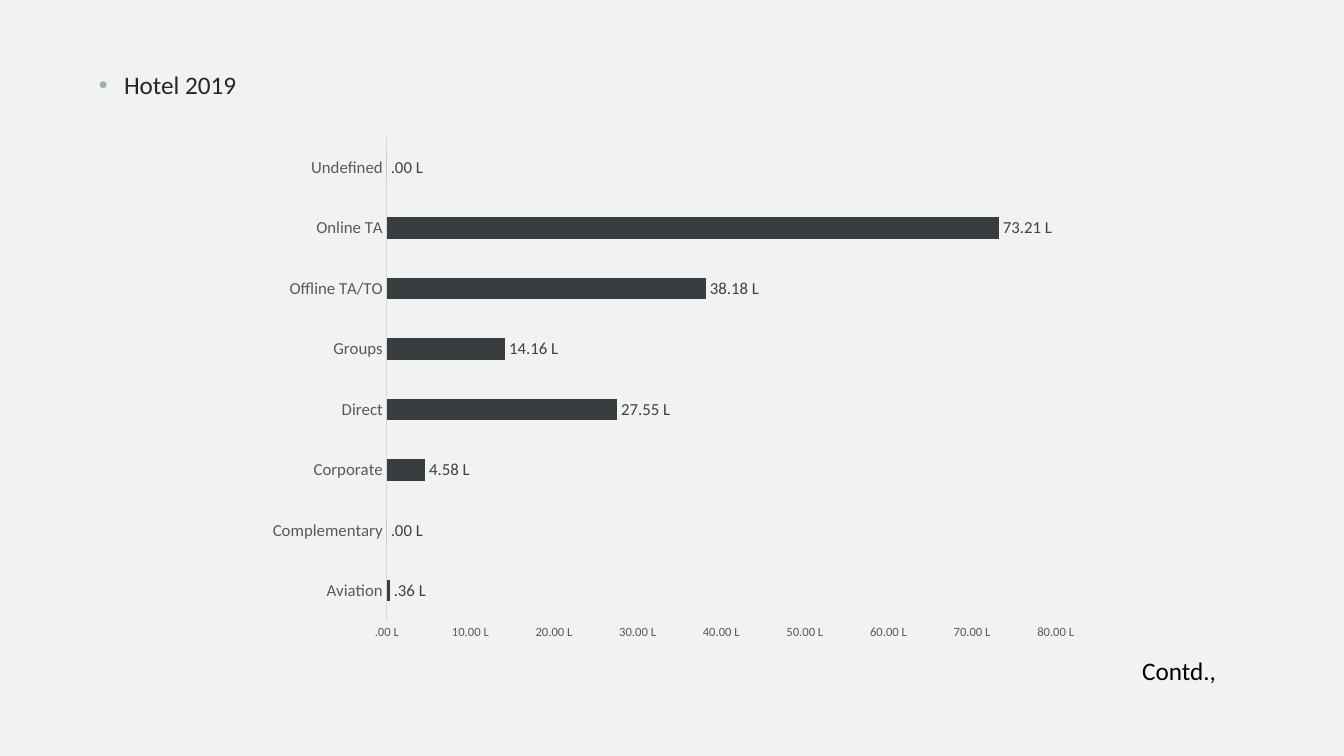
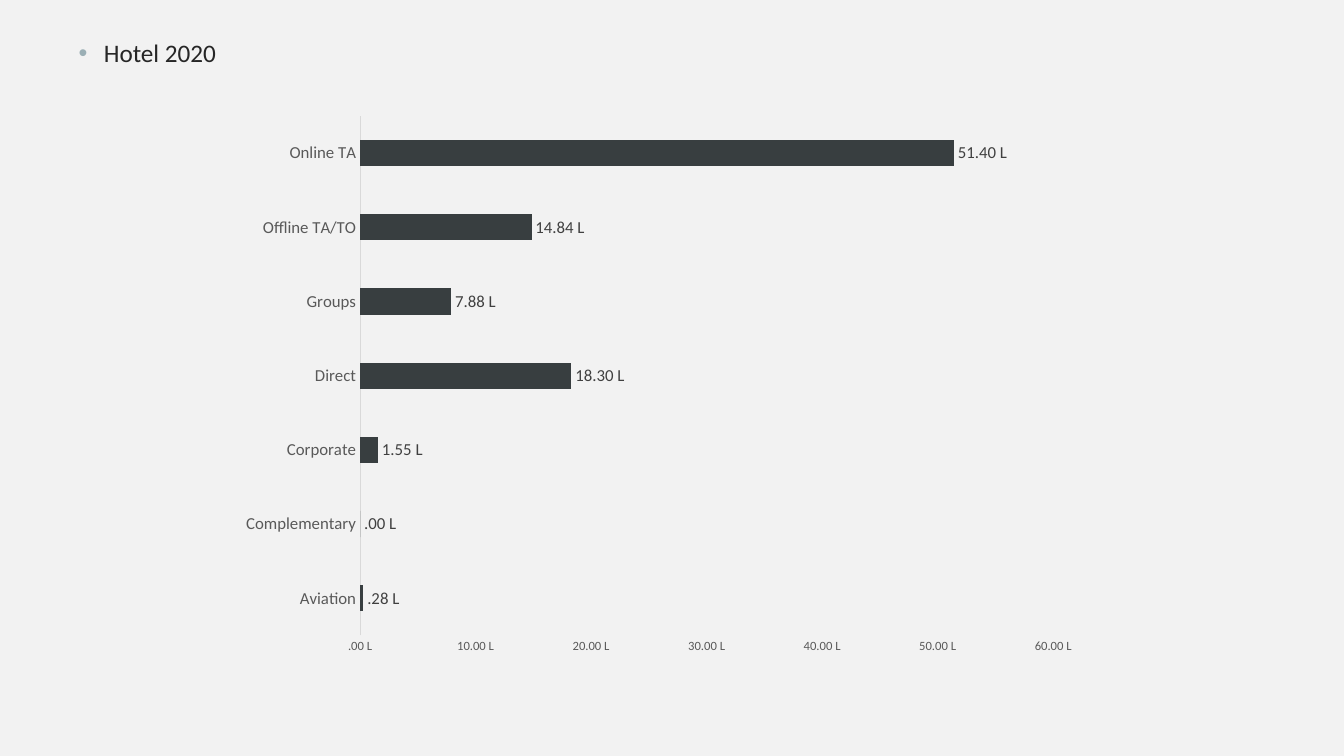
"""Two slides of horizontal bar charts: hotel revenue by market segment, 2019 and 2020."""
from lxml import etree
from pptx import Presentation
from pptx.chart.data import CategoryChartData
from pptx.dml.color import RGBColor
from pptx.enum.chart import XL_CHART_TYPE, XL_LABEL_POSITION, XL_TICK_MARK
from pptx.enum.text import MSO_ANCHOR, MSO_AUTO_SIZE
from pptx.oxml.ns import qn
from pptx.util import Inches, Pt

BAR_CLUSTERED = XL_CHART_TYPE.BAR_CLUSTERED
OUTSIDE_END = XL_LABEL_POSITION.OUTSIDE_END
NO_TICK = XL_TICK_MARK.NONE
TOP = MSO_ANCHOR.TOP
NO_AUTOFIT = MSO_AUTO_SIZE.NONE

BACKGROUND = RGBColor(0xF2, 0xF2, 0xF2)
BAR = RGBColor(0x38, 0x3E, 0x40)
HEADING = RGBColor(0x26, 0x26, 0x26)
BULLET = RGBColor(0x9B, 0xAF, 0xB5)
AXIS_TEXT = RGBColor(0x59, 0x59, 0x59)
AXIS_LINE = RGBColor(0xD9, 0xD9, 0xD9)
LABEL_TEXT = RGBColor(0x40, 0x40, 0x40)
BLACK = RGBColor(0, 0, 0)

FONT = "Calibri"
LAKH_FORMAT = r'#\.00," L"'
CELL = Inches(0.1)
SEGMENTS = ["Aviation", "Complementary", "Corporate", "Direct",
            "Groups", "Offline TA/TO", "Online TA", "Undefined"]

YEARS = [
    {"heading": "Hotel 2019", "heading_cells": (8.8, 6.4, 16.6, 4.6),
     "chart_cells": (25.4, 12.6, 82.8, 51.9), "axis_max": 8000000,
     "revenue": [36000, 0, 458000, 2755000, 1416000, 3818000, 7321000, 0],
     "continued": "Contd.,"},
    {"heading": "Hotel 2020", "heading_cells": (6.8, 3.2, 17, 4.8),
     "chart_cells": (22.7, 10.4, 85.3, 55.6), "axis_max": 6000000,
     "revenue": [28000, 0, 155000, 1830000, 788000, 1484000, 5140000],
     "continued": None},
]
CONTINUED_CELLS = (112.3, 64.5, 10.3, 4)


def grid(cells):
    return [int(count * CELL) for count in cells]


def set_font(font, size, color):
    font.name = FONT
    font.size = Pt(size)
    font.color.rgb = color


prs = Presentation()
prs.slide_width = Inches(13.33)
prs.slide_height = Inches(7.5)
master_fill = prs.slide_master.background.fill
master_fill.solid()
master_fill.fore_color.rgb = BACKGROUND
title_and_content = prs.slide_layouts[1]

for year in YEARS:
    slide = prs.slides.add_slide(title_and_content)
    unused_title = slide.shapes.title.element
    unused_title.getparent().remove(unused_title)

    heading = slide.placeholders[1]
    heading.left, heading.top, heading.width, heading.height = grid(year["heading_cells"])
    heading_text = heading.text_frame
    heading_text.text = year["heading"]
    heading_text.vertical_anchor = TOP
    heading_text.auto_size = NO_AUTOFIT
    heading_line = heading_text.paragraphs[0]
    heading_line.space_before = Pt(10)
    set_font(heading_line.runs[0].font, 18, HEADING)
    bullet_format = heading_line._p.get_or_add_pPr()
    bullet_format.set("marL", str(Inches(0.25)))
    bullet_format.set("indent", str(-Inches(0.25)))
    bullet_color = etree.SubElement(bullet_format, qn("a:buClr"))
    etree.SubElement(bullet_color, qn("a:srgbClr"), val=str(BULLET))
    etree.SubElement(bullet_format, qn("a:buFont"), typeface="Arial")
    etree.SubElement(bullet_format, qn("a:buChar"), char="•")

    revenue = CategoryChartData()
    revenue.categories = SEGMENTS[:len(year["revenue"])]
    revenue.add_series("Series 1", year["revenue"])
    chart = slide.shapes.add_chart(BAR_CLUSTERED, *grid(year["chart_cells"]), revenue).chart
    chart.has_title = False
    chart.has_legend = False
    set_font(chart.font, 10, BLACK)

    segment_axis = chart.category_axis
    segment_axis.format.line.color.rgb = AXIS_LINE
    segment_axis.format.line.width = Pt(0.75)
    revenue_axis = chart.value_axis
    revenue_axis.format.line.fill.background()
    revenue_axis.minimum_scale = 0
    revenue_axis.maximum_scale = year["axis_max"]
    revenue_axis.major_unit = 1000000
    revenue_axis.tick_labels.number_format = LAKH_FORMAT
    revenue_axis.tick_labels.number_format_is_linked = False
    for axis, size in ((segment_axis, 12), (revenue_axis, 9)):
        axis.has_major_gridlines = False
        axis.major_tick_mark = NO_TICK
        axis.minor_tick_mark = NO_TICK
        set_font(axis.tick_labels.font, size, AXIS_TEXT)

    bars = chart.plots[0]
    bars.gap_width = 182
    bars.vary_by_categories = False
    bar_fill = bars.series[0].format.fill
    bar_fill.solid()
    bar_fill.fore_color.rgb = BAR
    labels = bars.series[0].data_labels
    labels.show_value = True
    labels.position = OUTSIDE_END
    labels.number_format = LAKH_FORMAT
    labels.number_format_is_linked = False
    set_font(labels.font, 12, LABEL_TEXT)

    if year["continued"]:
        continued = slide.shapes.add_textbox(*grid(CONTINUED_CELLS)).text_frame
        continued.word_wrap = True
        continued.text = year["continued"]
        set_font(continued.paragraphs[0].runs[0].font, 18, BLACK)

prs.save("out.pptx")
